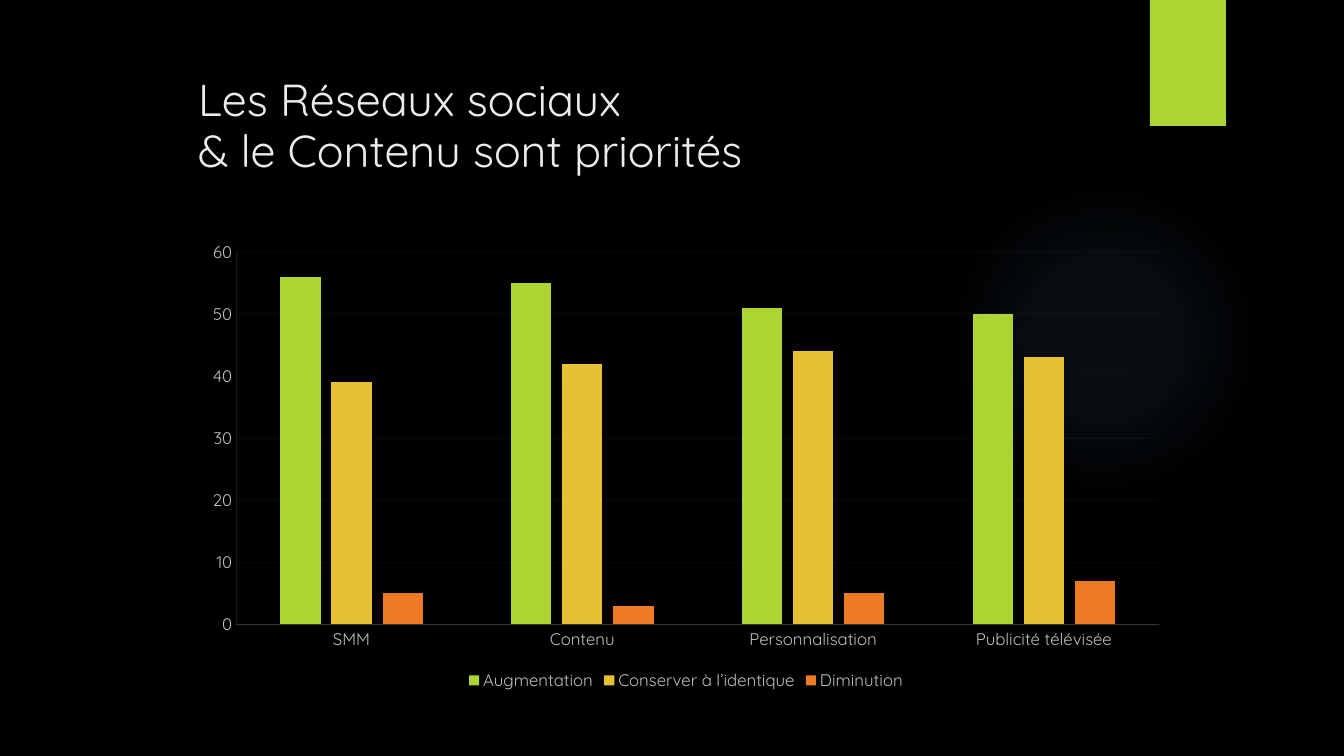
from lxml.etree import SubElement
from pptx import Presentation
from pptx.chart.data import CategoryChartData
from pptx.dml.color import RGBColor
from pptx.enum.chart import XL_CHART_TYPE, XL_LEGEND_POSITION, XL_TICK_MARK
from pptx.enum.shapes import MSO_SHAPE
from pptx.enum.text import MSO_ANCHOR, MSO_AUTO_SIZE, PP_ALIGN
from pptx.oxml import parse_xml
from pptx.oxml.ns import nsdecls, qn
from pptx.util import Pt

EMU_PER_PX = 914400 / 100.8
FONT = "Quicksand"
COLORS = {
    "background": "000000",
    "title": "EBEBEB",
    "labels": "BFBFBF",
    "axis": "EEF6D6",
    "glow": "7AC4F0",
    "green": "ACD433",
    "yellow": "E6C133",
    "orange": "EF7A24",
}
CATEGORIES = ["SMM", "Contenu", "Personnalisation", "Publicité télévisée"]
SERIES = [
    ("Augmentation", (56, 55, 51, 50), "green"),
    ("Conserver à l’identique", (39, 42, 44, 43), "yellow"),
    ("Diminution", (5, 3, 5, 7), "orange"),
]
GLOW_STOPS = [(0, 7), (36, 6), (69, 0)]  # position and opacity, in percent
LINE_OPACITY = {
    "c:catAx/c:spPr": 25,
    "c:valAx/c:spPr": 30,
    "c:valAx/c:majorGridlines": 10,
}


def px(n):
    return round(n * EMU_PER_PX)


def rgb(name):
    return RGBColor.from_string(COLORS[name])


def format_font(font, size, color):
    font.name = FONT
    font.size = Pt(size)
    font.color.rgb = rgb(color)


def add_plain_shape(s, kind, x, y, w, h):
    sp = s.shapes.add_shape(kind, px(x), px(y), px(w), px(h))
    sp.shadow.inherit = False
    sp.line.fill.background()
    return sp


def add_glow(s):
    sp = add_plain_shape(s, MSO_SHAPE.OVAL, 949, 184, 310, 310)
    stops = "".join(
        f'<a:gs pos="{pos * 1000}"><a:srgbClr val="{COLORS["glow"]}">'
        f'<a:alpha val="{opacity * 1000}"/></a:srgbClr></a:gs>'
        for pos, opacity in GLOW_STOPS
    )
    gradient = parse_xml(
        f'<a:gradFill {nsdecls("a")} rotWithShape="1"><a:gsLst>{stops}</a:gsLst>'
        '<a:path path="circle">'
        '<a:fillToRect l="50000" t="50000" r="50000" b="50000"/>'
        "</a:path></a:gradFill>"
    )
    sp.element.spPr.find(qn("a:prstGeom")).addnext(gradient)


def add_ribbon(s):
    sp = add_plain_shape(s, MSO_SHAPE.RECTANGLE, 1150, 0, 76, 126)
    sp.fill.solid()
    sp.fill.fore_color.rgb = rgb("green")


def set_title(s, text):
    title = s.shapes.title
    title.left, title.top, title.width, title.height = map(px, (188, 70, 1037, 154))
    tf = title.text_frame
    tf.text = text
    tf.word_wrap = True
    tf.auto_size = MSO_AUTO_SIZE.NONE
    tf.vertical_anchor = MSO_ANCHOR.TOP
    p = tf.paragraphs[0]
    p.alignment = PP_ALIGN.LEFT
    p.line_spacing = 0.96
    for r in p.runs:
        format_font(r.font, 32, "title")


def format_line(line):
    line.width = Pt(0.25)
    line.color.rgb = rgb("axis")


def format_axis(axis):
    axis.major_tick_mark = axis.minor_tick_mark = XL_TICK_MARK.NONE
    format_font(axis.tick_labels.font, 12, "labels")
    format_line(axis.format.line)


def add_priorities_chart(s):
    data = CategoryChartData()
    data.categories = CATEGORIES
    for name, values, _ in SERIES:
        data.add_series(name, values)
    chart = s.shapes.add_chart(
        XL_CHART_TYPE.COLUMN_CLUSTERED, px(193), px(232), px(986), px(463), data
    ).chart
    format_font(chart.font, 10, "labels")
    chart.has_title = False
    chart.has_legend = True
    chart.legend.position = XL_LEGEND_POSITION.BOTTOM
    chart.legend.include_in_layout = False
    format_font(chart.legend.font, 12, "labels")

    plot = chart.plots[0]
    plot.gap_width = 219
    plot.overlap = -27
    plot.vary_by_categories = False
    for series, (_, _, color) in zip(plot.series, SERIES):
        series.format.fill.solid()
        series.format.fill.fore_color.rgb = rgb(color)

    format_axis(chart.category_axis)
    value_axis = chart.value_axis
    format_axis(value_axis)
    value_axis.minimum_scale = 0
    value_axis.maximum_scale = 60
    value_axis.major_unit = 10
    format_line(value_axis.major_gridlines.format.line)
    for element, opacity in LINE_OPACITY.items():
        for color in chart.element.xpath(f".//{element}//a:ln//a:srgbClr"):
            SubElement(color, qn("a:alpha")).set("val", str(opacity * 1000))


def main():
    prs = Presentation()
    prs.slide_width, prs.slide_height = px(1344), px(756)
    s = prs.slides.add_slide(prs.slide_layouts[5])
    s.background.fill.solid()
    s.background.fill.fore_color.rgb = rgb("background")
    add_glow(s)
    add_ribbon(s)
    set_title(s, "Les Réseaux sociaux\v& le Contenu sont priorités")
    add_priorities_chart(s)
    prs.save("out.pptx")


if __name__ == "__main__":
    main()
